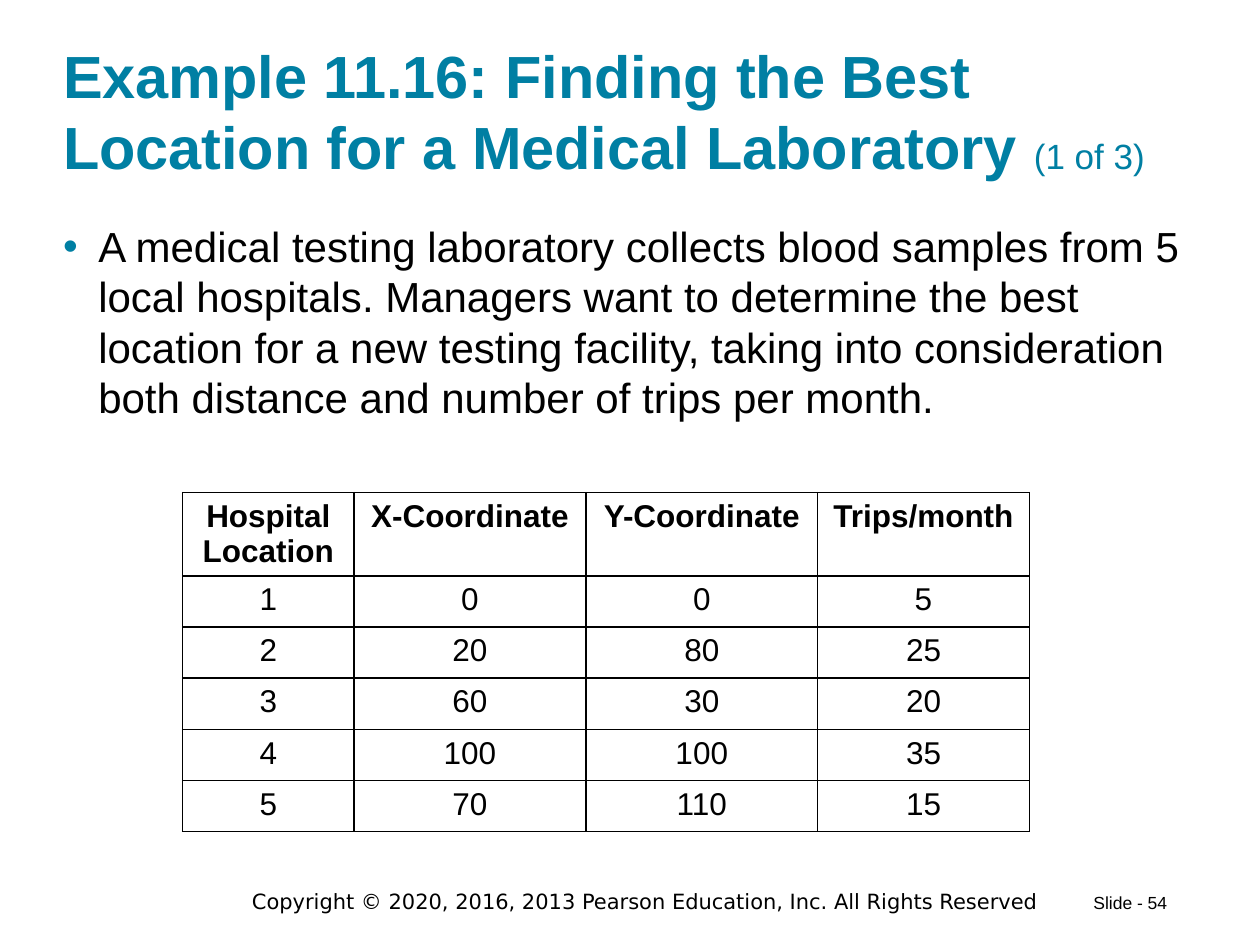
from lxml.etree import SubElement as add_element
from pptx import Presentation
from pptx.dml.color import RGBColor
from pptx.enum.text import MSO_ANCHOR as Anchor, MSO_AUTO_SIZE as AutoSize, PP_ALIGN as Align
from pptx.oxml.ns import qn
from pptx.util import Inches, Pt

TEAL, BLACK = "007FA3", "000000"
WIDTH, HEIGHT = 10, 7.5
MARGIN = WIDTH * 0.05
CONTENT = WIDTH - 2 * MARGIN


def colour(value):
    return RGBColor.from_string(value)


def style(font, size, value=BLACK, bold=False, name="Arial"):
    font.name, font.size, font.bold = name, Pt(size), bold
    font.color.rgb = colour(value)


def place(shape, box):
    shape.left, shape.top, shape.width, shape.height = map(Inches, box)


def set_frame(frame, anchor, top_inset=0):
    frame.auto_size, frame.word_wrap = AutoSize.NONE, True
    frame.vertical_anchor = anchor
    frame.margin_left = frame.margin_right = frame.margin_bottom = 0
    frame.margin_top = Inches(top_inset)


def fill_title(title, box, text, part):
    place(title, box)
    set_frame(title.text_frame, Anchor.BOTTOM, 0.1)
    para = title.text_frame.paragraphs[0]
    para.alignment = Align.LEFT
    for words, size, bold in ((text, 34, True), (part, 20, False)):
        span = para.add_run()
        span.text = words
        style(span.font, size, TEAL, bold)


def fill_body(body, box, text):
    place(body, box)
    set_frame(body.text_frame, Anchor.TOP)
    para = body.text_frame.paragraphs[0]
    para.text = text
    para.space_before = Pt(0)
    # Hanging bullet in the accent colour
    props = para._p.get_or_add_pPr()
    indent = Inches(0.28)
    props.set("marL", str(indent))
    props.set("indent", str(-indent))
    add_element(add_element(props, qn("a:buClr")), qn("a:srgbClr"), val=TEAL)
    add_element(props, qn("a:buFont"), typeface="Arial")
    add_element(props, qn("a:buChar"), char="•")
    style(para.runs[0].font, 24)


def outline_cell(cell):
    props = cell._tc.get_or_add_tcPr()
    for side in ("lnL", "lnR", "lnT", "lnB"):
        line = add_element(props, qn(f"a:{side}"), w=str(Pt(1)))
        add_element(add_element(line, qn("a:solidFill")), qn("a:srgbClr"), val=BLACK)
    cell.fill.background()


def add_data_table(page, box, rows, widths, header_height):
    table = page.shapes.add_table(len(rows), len(widths), *map(Inches, box)).table
    table.horz_banding = False
    for column, width in zip(table.columns, widths):
        column.width = Inches(width)
    row_height = (box[3] - header_height) / (len(rows) - 1)
    for index, values in enumerate(rows):
        table.rows[index].height = Inches(row_height if index else header_height)
        for cell, value in zip(table.rows[index].cells, values):
            cell.text = str(value)
            para = cell.text_frame.paragraphs[0]
            para.alignment = Align.CENTER
            style(para.runs[0].font, 18, bold=index == 0)
            outline_cell(cell)


def add_footer_text(page, box, text, size, name, align):
    frame = page.shapes.add_textbox(*map(Inches, box)).text_frame
    frame.word_wrap = True
    frame.text = text
    para = frame.paragraphs[0]
    para.alignment = align
    style(para.runs[0].font, size, name=name)


def main():
    deck = Presentation()
    deck.slide_width, deck.slide_height = Inches(WIDTH), Inches(HEIGHT)
    page = deck.slides.add_slide(deck.slide_layouts[1])

    # Title and introduction
    fill_title(page.shapes.title, (MARGIN, 0.24, CONTENT, 1.2),
               "Example 11.16: Finding the Best Location for a Medical Laboratory ",
               "(1 of 3)")
    fill_body(page.placeholders[1], (MARGIN, 1.75, CONTENT, 1.84),
              "A medical testing laboratory collects blood samples from 5 local "
              "hospitals. Managers want to determine the best location for a new "
              "testing facility, taking into consideration both distance and "
              "number of trips per month.")

    # Hospital data
    rows = [
        ("Hospital Location", "X-Coordinate", "Y-Coordinate", "Trips/month"),
        (1, 0, 0, 5),
        (2, 20, 80, 25),
        (3, 60, 30, 20),
        (4, 100, 100, 35),
        (5, 70, 110, 15),
    ]
    widths = (1.36, 1.84, 1.84, 1.68)
    add_data_table(page, (1.45, 3.91, sum(widths), 2.69), rows, widths, 0.66)

    # Footer
    add_footer_text(page, (1.83, 7, 6.58, 0.3),
                    "Copyright © 2020, 2016, 2013 Pearson Education, Inc. All Rights Reserved",
                    12, "DejaVu Sans", Align.CENTER)
    add_footer_text(page, (8.58, 7.03, 0.81, 0.27), "Slide - 54", 10, "Arial", Align.LEFT)

    deck.save("out.pptx")


if __name__ == "__main__":
    main()
